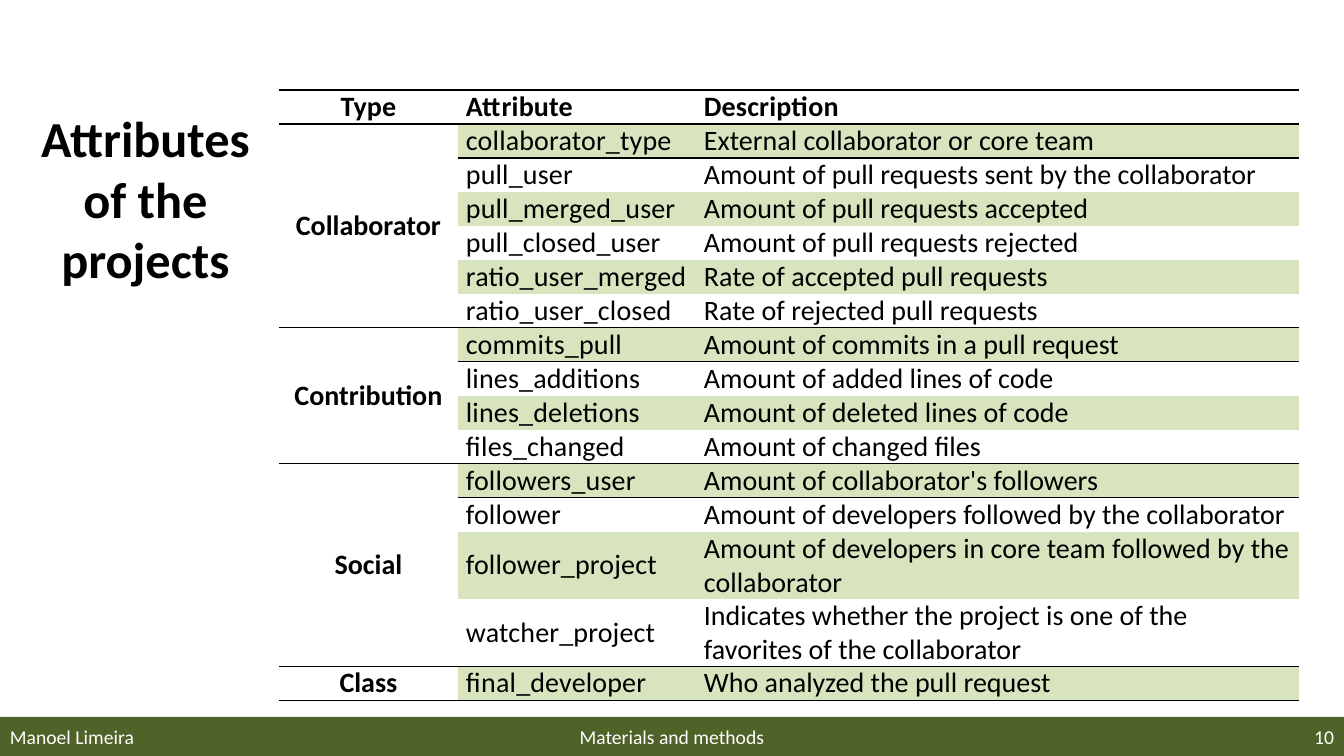
from lxml.etree import SubElement as Sub
from pptx import Presentation
from pptx.dml.color import RGBColor as RGB
from pptx.enum.shapes import MSO_SHAPE as Shape
from pptx.enum.text import MSO_ANCHOR as Anchor, PP_ALIGN as Align
from pptx.oxml.ns import qn
from pptx.util import Inches, Pt

BLACK = RGB(0x00, 0x00, 0x00)
WHITE = RGB(0xFF, 0xFF, 0xFF)
GREEN = RGB(0x4F, 0x62, 0x28)
BAND = RGB(0xD7, 0xE4, 0xBD)
FONT = "Calibri"
PLAIN = "{2D5ABB26-0587-4C30-8999-92F81FD0307C}"

HEADS = ("Type", "Attribute", "Description")
GROUPS = [
    ("Collaborator", [
        ("collaborator_type", "External collaborator or core team"),
        ("pull_user", "Amount of pull requests sent by the collaborator"),
        ("pull_merged_user", "Amount of pull requests accepted"),
        ("pull_closed_user", "Amount of pull requests rejected"),
        ("ratio_user_merged", "Rate of accepted pull requests"),
        ("ratio_user_closed", "Rate of rejected pull requests")]),
    ("Contribution", [
        ("commits_pull", "Amount of commits in a pull request"),
        ("lines_additions", "Amount of added lines of code"),
        ("lines_deletions", "Amount of deleted lines of code"),
        ("files_changed", "Amount of changed files")]),
    ("Social", [
        ("followers_user", "Amount of collaborator's followers"),
        ("follower", "Amount of developers followed by the collaborator"),
        ("follower_project",
         "Amount of developers in core team followed by the collaborator"),
        ("watcher_project", "Indicates whether the project is one of the "
                            "favorites of the collaborator")]),
    ("Class", [("final_developer", "Who analyzed the pull request")]),
]


def px(num):
    """Turn pixels into EMU."""
    return Inches(num / 100.8)


def write(frame, text, size=20, color=BLACK, bold=False, align=Align.LEFT, gap=0):
    """Put one formatted run into a text frame."""
    para = frame.paragraphs[0]
    para.alignment = align
    run = para.add_run()
    run.text = text
    font = run.font
    font.name, font.size, font.bold = FONT, Pt(size), bold
    font.color.rgb = color
    if gap:
        run._r.get_or_add_rPr().set("spc", str(gap))


def label(slide, box, text, anchor=Anchor.MIDDLE, **form):
    """Add a wrapped text box."""
    frame = slide.shapes.add_textbox(*map(px, box)).text_frame
    frame.word_wrap = True
    frame.vertical_anchor = anchor
    write(frame, text, **form)


def fill_cell(cell, text, edges="", band=False, anchor=Anchor.MIDDLE, **form):
    """Format a cell with its rules, fill and text."""
    props = cell._tc.get_or_add_tcPr()
    for side in edges:
        rule = Sub(props, qn("a:ln" + side), w=str(Pt(1)))
        Sub(Sub(rule, qn("a:solidFill")), qn("a:srgbClr"), val=str(BLACK))
    if band:
        cell.fill.solid()
        cell.fill.fore_color.rgb = BAND
    else:
        cell.fill.background()
    cell.margin_left = cell.margin_right = px(8)
    cell.margin_top = cell.margin_bottom = 0
    cell.vertical_anchor = anchor
    write(cell.text_frame, text, **form)


def add_grid(slide, box, widths, line):
    """Build the table of attributes, grouped by type."""
    count = 1 + sum(len(items) for _, items in GROUPS)
    grid = slide.shapes.add_table(count, len(HEADS), *map(px, box)).table
    grid.first_row = grid.horz_banding = False
    grid._tbl.tblPr.find(qn("a:tableStyleId")).text = PLAIN
    for col, width in zip(grid.columns, widths):
        col.width = px(width)
    for row in grid.rows:
        row.height = px(line)
    for col, head in enumerate(HEADS):
        fill_cell(grid.cell(0, col), head, "TB", anchor=Anchor.TOP, bold=True,
                  align=Align.LEFT if col else Align.CENTER, gap=10 if col else 0)
    top = 1
    for kind, items in GROUPS:
        last = len(items) - 1
        first = grid.cell(top, 0)
        if last:
            first.merge(grid.cell(top + last, 0))
        fill_cell(first, kind, "TB", bold=True, align=Align.CENTER)
        for pos, (name, note) in enumerate(items):
            edges = "T" * (pos == 0) + "B" * (pos == last)
            band = pos % 2 == 0
            fill_cell(grid.cell(top + pos, 1), name, edges, band, gap=10)
            fill_cell(grid.cell(top + pos, 2), note, edges, band, Anchor.TOP)
        top += len(items)


def add_foot(slide, box):
    """Draw the bottom bar with author, section and page."""
    left, top, width, high = box
    bar = slide.shapes.add_shape(Shape.RECTANGLE, *map(px, box))
    bar.shadow.inherit = False
    bar.fill.solid()
    bar.fill.fore_color.rgb = GREEN
    bar.line.fill.background()
    side = 313
    parts = [("Manoel Limeira", left, side, Align.LEFT),
             ("Materials and methods", left + side, width - 2 * side, Align.CENTER),
             ("10", left + width - side, side, Align.RIGHT)]
    for text, start, wide, align in parts:
        label(slide, (start, top, wide, high), text, size=14, color=WHITE, align=align)


def main():
    """Build and save the slide."""
    deck = Presentation()
    deck.slide_width, deck.slide_height = px(1344), px(756)
    slide = deck.slides.add_slide(deck.slide_layouts[6])
    add_foot(slide, (0, 717, 1344, 39))
    label(slide, (12, 85, 267, 209), "Attributes of the projects", Anchor.BOTTOM,
          size=36, bold=True, align=Align.CENTER)
    add_grid(slide, (279, 90, 1020, 544), (179, 238, 603), 34)
    deck.save("out.pptx")


main()
